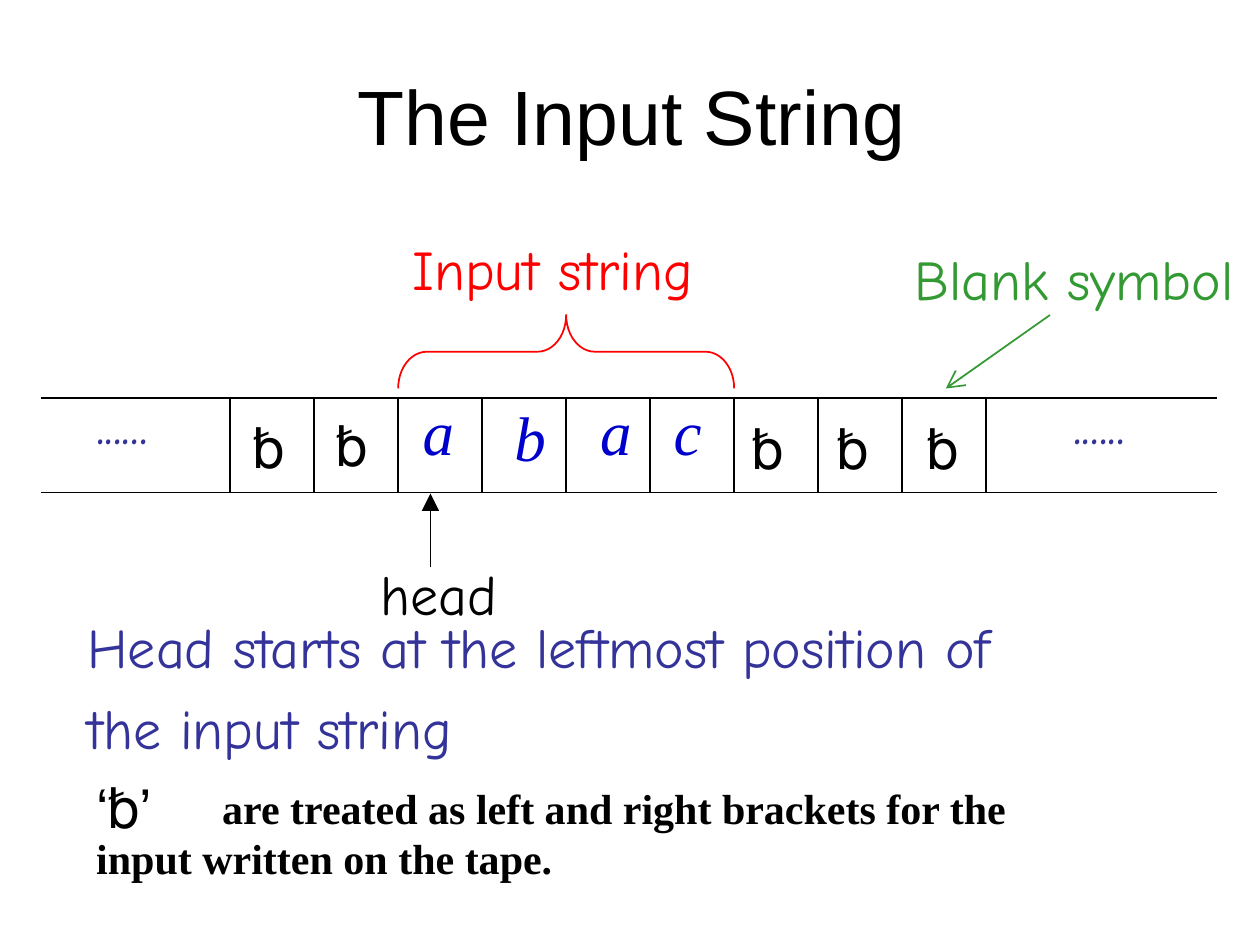
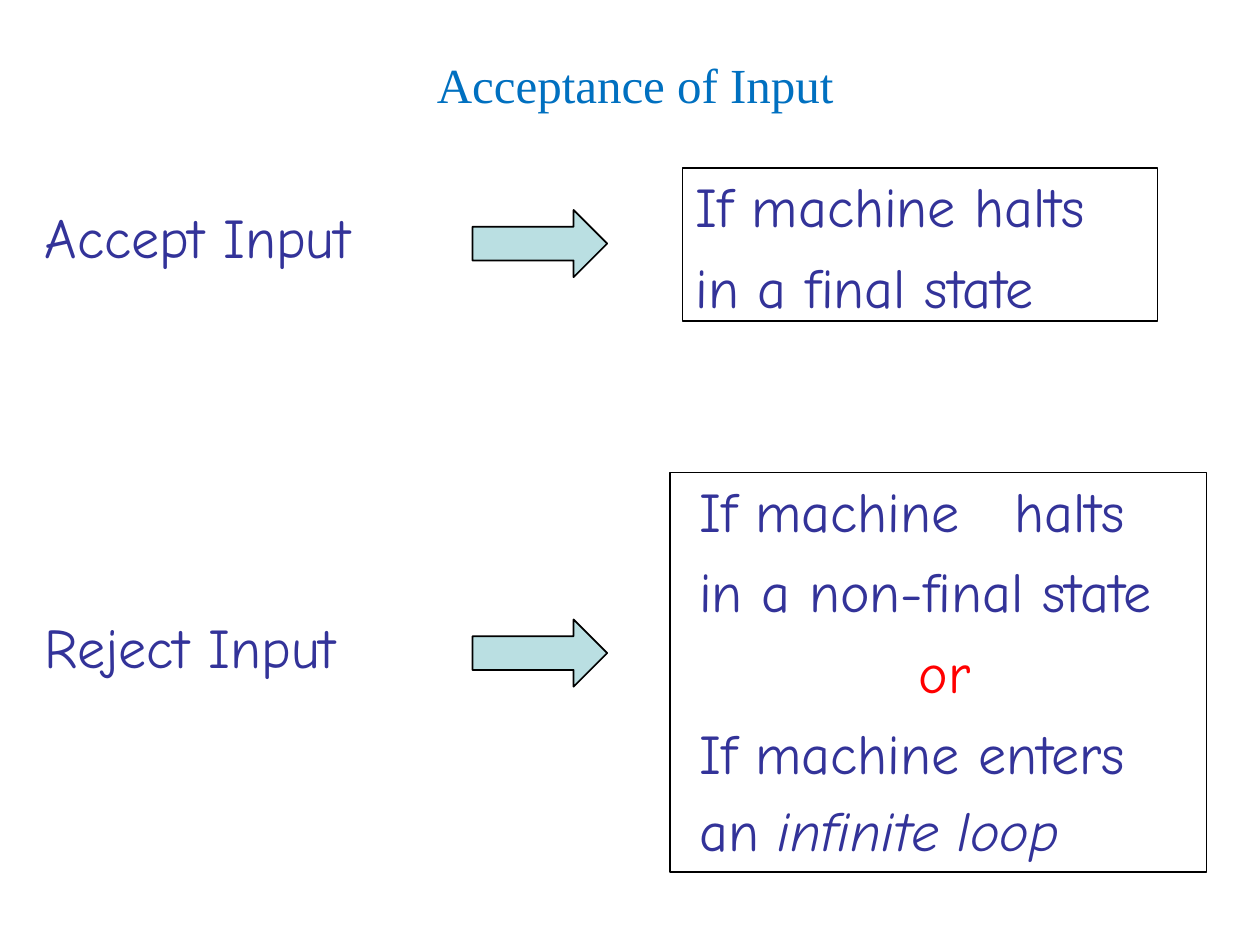
from lxml.etree import SubElement
from pptx import Presentation
from pptx.dml.color import RGBColor
from pptx.enum.shapes import MSO_CONNECTOR, MSO_SHAPE
from pptx.enum.text import MSO_ANCHOR, PP_ALIGN
from pptx.oxml.ns import qn
from pptx.util import Pt

COLORS = {
    "black": "000000", "navy": "333399", "blue": "0000CC", "title": "0070C0",
    "green": "339933", "red": "FF0000", "aqua": "BADFE2",
}
COMIC, ARIAL, TIMES = "Comic Neue", "Arial", "Times New Roman"
BLANK = "␢"
DOTS = "......"


def rgb(name):
    """Return the palette colour of that name."""
    return RGBColor.from_string(COLORS[name])


def style(p, font=COMIC, size=32, color="navy", bold=False, italic=False):
    """Format every run of a paragraph."""
    for r in p.runs:
        f = r.font
        f.name, f.size, f.bold, f.italic = font, Pt(size), bold, italic
        f.color.rgb = rgb(color)


def indent(p, left, first=0):
    """Set the left margin and first-line indent of a paragraph."""
    pPr = p._p.get_or_add_pPr()
    pPr.set("marL", str(Pt(left)))
    pPr.set("indent", str(Pt(first)))


def set_margins(tf, left=0, top=0, right=0, bottom=0):
    """Set the insets of a text frame or cell."""
    tf.margin_left, tf.margin_top = Pt(left), Pt(top)
    tf.margin_right, tf.margin_bottom = Pt(right), Pt(bottom)


def add_text(s, box, text, **fmt):
    """Add a wrapped label without insets and return its paragraph."""
    tf = s.shapes.add_textbox(*map(Pt, box)).text_frame
    tf.word_wrap = True
    set_margins(tf, top=1)
    tf.text = text
    p = tf.paragraphs[0]
    p.space_before = Pt(1)
    style(p, **fmt)
    return p


def add_title(s, box, text, **fmt):
    """Add a centred slide title."""
    p = add_text(s, box, text, **fmt)
    p.alignment = PP_ALIGN.CENTER
    s.shapes[-1].text_frame.vertical_anchor = MSO_ANCHOR.MIDDLE


def add_blank(s, x, y, text=BLANK, w=34):
    """Add an unwrapped blank symbol."""
    tf = s.shapes.add_textbox(Pt(x), Pt(y), Pt(w), Pt(46)).text_frame
    tf.word_wrap = False
    tf.text = text
    style(tf.paragraphs[0], font=ARIAL, color="black")


def add_preset(s, kind, box, fill=None, line="black"):
    """Add a preset shape with a thin outline."""
    sp = s.shapes.add_shape(kind, *map(Pt, box))
    sp.shadow.inherit = False
    if fill:
        sp.fill.solid()
        sp.fill.fore_color.rgb = rgb(fill)
    else:
        sp.fill.background()
    sp.line.color.rgb = rgb(line)
    sp.line.width = Pt(1)
    return sp


def add_arrow(s, start, end, color, head):
    """Add a straight arrow from start to end."""
    c = s.shapes.add_connector(MSO_CONNECTOR.STRAIGHT, *map(Pt, start + end))
    c.line.color.rgb = rgb(color)
    c.line.width = Pt(1)
    SubElement(c.line._get_or_add_ln(), qn("a:tailEnd"), type=head, w="lg", len="lg")
    SubElement(c._element.spPr, qn("a:effectLst"))


def add_brace(s, x, y, w, h):
    """Add a red brace that points up, drawn as a turned left brace."""
    box = (x + (w - h) / 2, y + (h - w) / 2, h, w)
    sp = add_preset(s, MSO_SHAPE.LEFT_BRACE, box, line="red")
    sp.adjustments[0] = 0.39
    sp.rotation = 90


def set_borders(cell, hidden=None):
    """Draw the four borders of a cell, leaving out the hidden side."""
    tcPr = cell._tc.get_or_add_tcPr()
    for i, side in enumerate(("lnL", "lnR", "lnT", "lnB")):
        ln = SubElement(tcPr, qn("a:" + side), w=str(Pt(1)))
        if side == hidden:
            SubElement(ln, qn("a:noFill"))
        else:
            fill = SubElement(ln, qn("a:solidFill"))
            SubElement(fill, qn("a:srgbClr"), val=COLORS["black"])
        tcPr.remove(ln)
        tcPr.insert(i, ln)


def add_tape(s, x, y, widths, h, contents):
    """Add the tape as a one-row table; contents maps column to text, indent and top inset."""
    shape = s.shapes.add_table(1, len(widths), Pt(x), Pt(y), Pt(sum(widths)), Pt(h))
    table = shape.table
    table.first_row = table.horz_banding = False
    table.rows[0].height = Pt(h)
    hidden = {0: "lnL", len(widths) - 1: "lnR"}
    for i, width in enumerate(widths):
        table.columns[i].width = Pt(width)
        cell = table.cell(0, i)
        cell.fill.background()
        set_margins(cell)
        set_borders(cell, hidden.get(i))
        if i not in contents:
            continue
        text, left, top = contents[i]
        cell.margin_top = Pt(top)
        cell.text = text
        p = cell.text_frame.paragraphs[0]
        indent(p, left)
        if text == DOTS:
            p.line_spacing = Pt(34.4)
            style(p)
        else:
            style(p, font=TIMES, size=36, color="blue", italic=True)


def add_condition(s, box, left, lines):
    """Add an outlined box with one indented paragraph for each line."""
    sp = add_preset(s, MSO_SHAPE.RECTANGLE, box)
    tf = sp.text_frame
    tf.word_wrap = True
    tf.vertical_anchor = MSO_ANCHOR.TOP
    set_margins(tf, top=2)
    tf.text = "\n".join(lines)
    for i, p in enumerate(tf.paragraphs):
        p.alignment = PP_ALIGN.LEFT
        p.space_before = Pt(7.7 if i else 2)
        indent(p, left)
        style(p)
    return tf.paragraphs


def build_input_string(s):
    """Build the slide with the tape and its head."""
    add_title(s, (203, 37.5, 316, 55), "The Input String", font=ARIAL, size=44, color="black")
    add_text(s, (522.5, 138.5, 192, 40), "Blank symbol", color="green")
    add_text(s, (235.5, 133, 184, 40), "Input string", color="red")
    add_text(s, (217.5, 318.5, 74, 40), "head", color="black")
    add_tape(s, 23.5, 227.5, [108] + [48] * 9 + [132], 54, {
        0: (DOTS, 31.5, 0), 3: ("a", 14, 1), 4: ("b", 18.5, 4),
        5: ("a", 19.5, 1), 6: ("c", 13.5, 1), 10: (DOTS, 50, 0),
    })
    add_arrow(s, (246, 324), (246, 282), "black", "triangle")
    add_arrow(s, (600, 180), (540.5, 222), "green", "arrow")
    add_brace(s, 227.5, 180, 192, 42)
    for x, y in ((138, 232), (185, 231), (423, 233), (471.5, 233), (523, 233)):
        add_blank(s, x, y)
    p = add_text(s, (50, 341.5, 549, 94),
                 "Head starts at the leftmost position of\vthe input string")
    p.line_spacing = 1.2
    p = add_text(s, (54, 446, 567, 59),
                 "are treated as left and right brackets for the\vinput written on the tape.",
                 font=TIMES, size=24, color="black", bold=True)
    indent(p, 1, 72)
    add_blank(s, 48, 438, f"‘{BLANK}’", w=48)


def build_acceptance(s):
    """Build the slide with the accept and reject conditions."""
    add_title(s, (246.5, 30, 233, 35), "Acceptance of Input", font=TIMES, size=28, color="title")
    for label, y in (("Accept Input", 115), ("Reject Input", 349)):
        add_text(s, (25.5, y, 201, 40), label)
        add_preset(s, MSO_SHAPE.RIGHT_ARROW, (270, y + 5, 77, 38.4), fill="aqua")
    add_condition(s, (390, 96, 271.5, 87.5), 7.5, ["If machine halts", "in a final state"])
    first, _, middle, last = add_condition(s, (383, 270, 306.5, 228.5), 16.5, [
        "If machine\thalts", "in a non-final state", "or", "If machine enters\van "])
    tabs = SubElement(first._p.get_or_add_pPr(), qn("a:tabLst"))
    SubElement(tabs, qn("a:tab"), pos=str(Pt(217)), algn="l")
    middle.alignment = PP_ALIGN.CENTER
    indent(middle, 7)
    style(middle, color="red")
    last.line_spacing = 1.16
    last.space_before = Pt(1.5)
    r = last.add_run()
    r.text = "infinite loop"
    style(last)
    r.font.italic = True


def main():
    """Build both slides and save the deck."""
    prs = Presentation()
    prs.slide_width, prs.slide_height = Pt(720), Pt(540)
    for build in (build_input_string, build_acceptance):
        build(prs.slides.add_slide(prs.slide_layouts[6]))
    prs.save("out.pptx")


if __name__ == "__main__":
    main()
